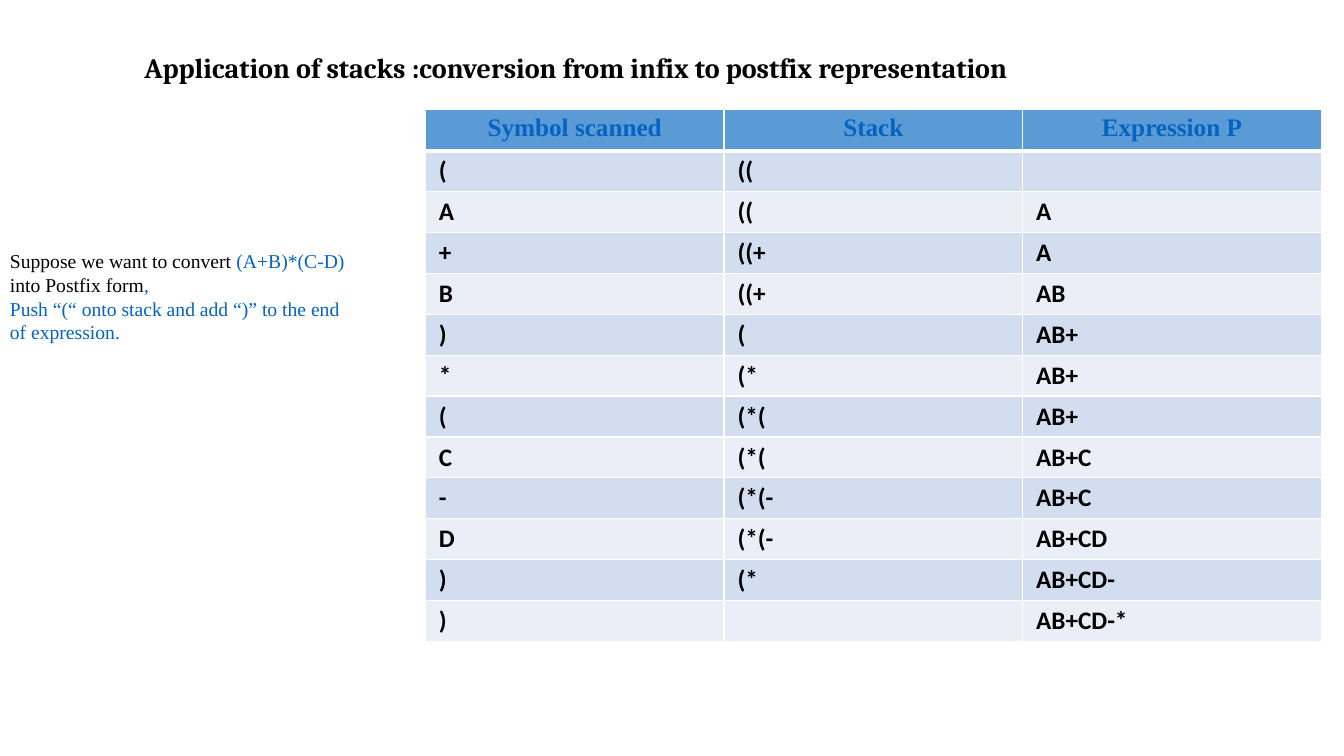
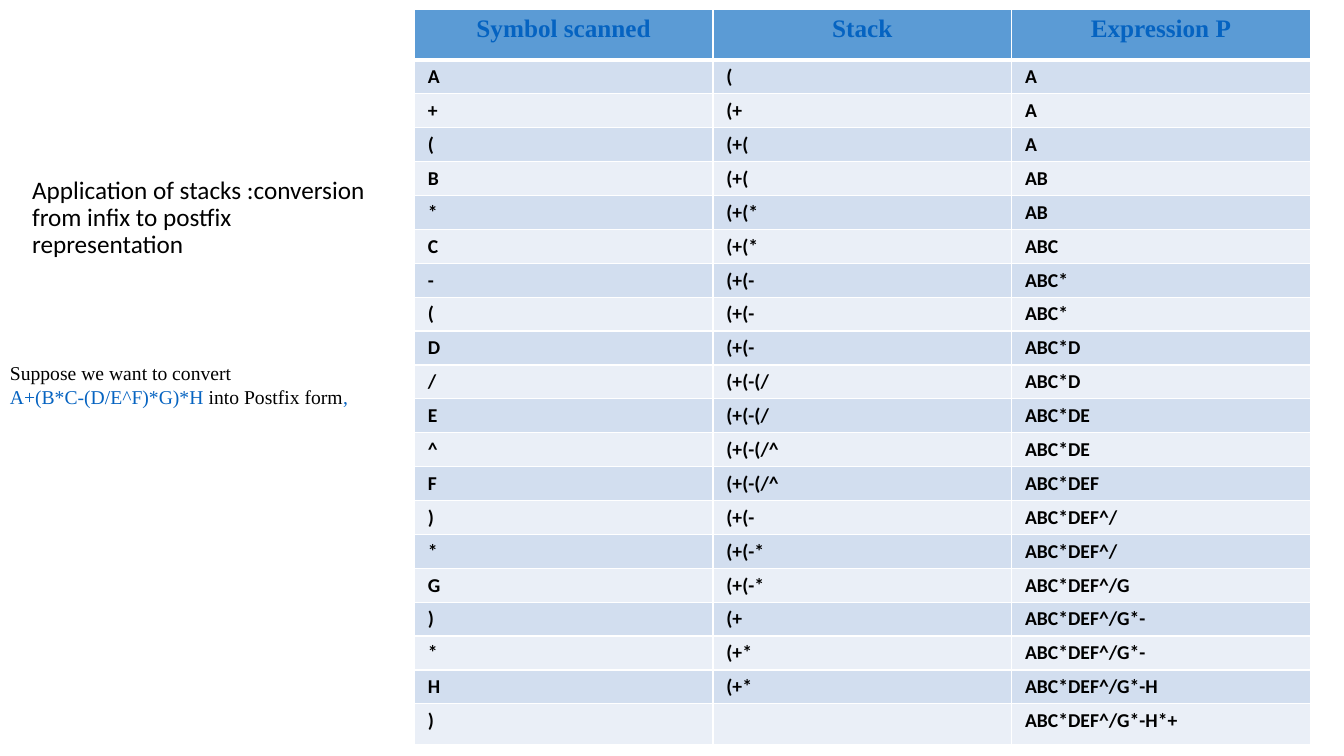
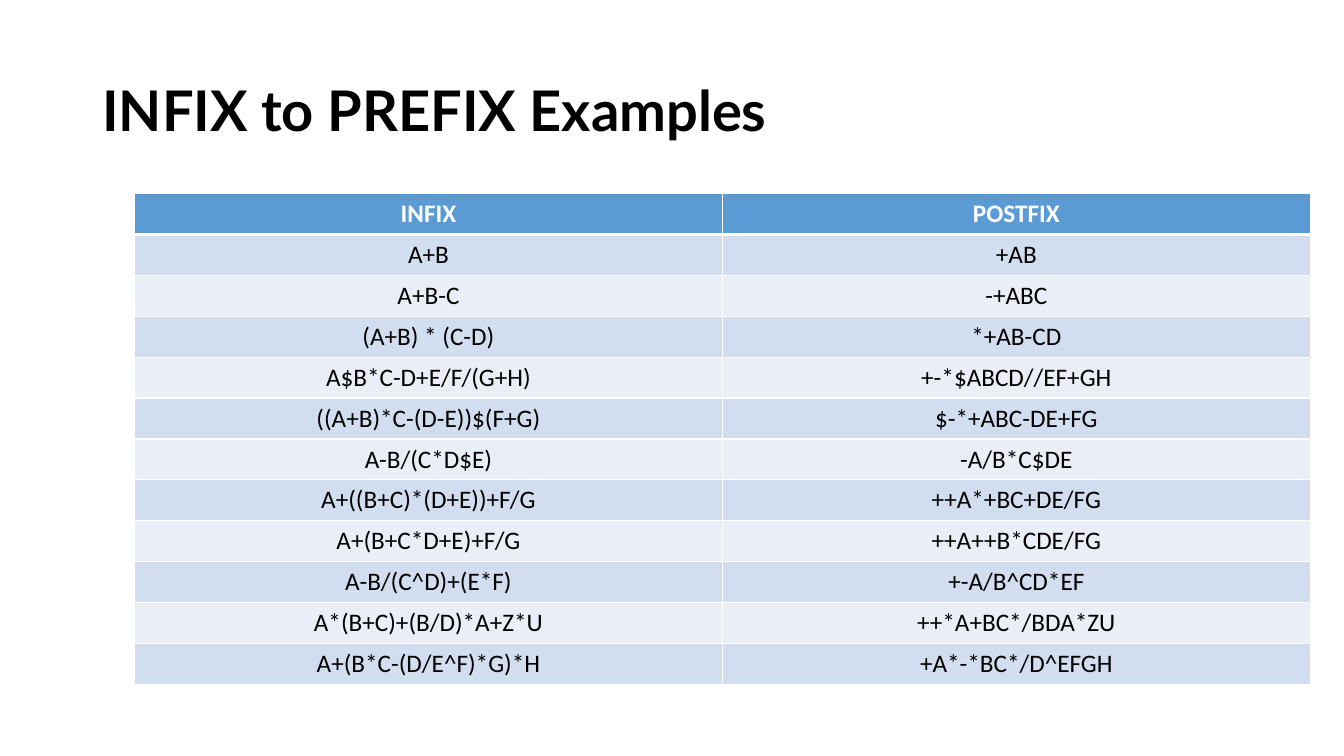
import pptx
import pptx.dml.color
import pptx.enum.text
import pptx.oxml
import pptx.oxml.ns
import pptx.util
from dataclasses import dataclass

Cm = pptx.util.Cm
ALIGN = pptx.enum.text.PP_ALIGN


@dataclass(frozen=True)
class Theme:
    black: str = "000000"
    white: str = "FFFFFF"
    accent: str = "0563C1"
    header: str = "5B9BD5"
    bands: tuple = ("D2DEEF", "EAEFF7")
    sans: str = "Calibri"
    serif: str = "Times New Roman"
    heading: str = "Cambria"
    display: str = "Lato"
    small: int = 14
    body: int = 18
    title: int = 20
    large: int = 40
    thin: int = 1
    thick: int = 3


THEME = Theme()

# Text styles: font, size, colour, bold
TITLE = (THEME.heading, THEME.title, THEME.black, True)
SIDE_TITLE = (THEME.sans, THEME.body, THEME.black, False)
LARGE_TITLE = (THEME.display, THEME.large, THEME.black, True)
NOTE = (THEME.serif, THEME.small, THEME.black, False)
NOTE_ACCENT = (THEME.serif, THEME.small, THEME.accent, False)
TRACE_HEAD = (THEME.serif, THEME.body, THEME.accent, True)
TRACE_CELL = (THEME.sans, THEME.body, THEME.black, True)
SMALL_TRACE_CELL = (THEME.sans, THEME.small, THEME.black, True)
EXAMPLE_HEAD = (THEME.sans, THEME.body, THEME.white, True)
EXAMPLE_CELL = (THEME.sans, THEME.body, THEME.black, False)

# Content
STACK_TITLE = "Application of stacks :conversion from infix to postfix representation"
TRACE_COLUMNS = ("Symbol scanned", "Stack", "Expression P")


def conversion_note(expression):
    return [("Suppose we want to convert ", NOTE), (expression + " ", NOTE_ACCENT),
            ("into Postfix form", NOTE), (",", NOTE_ACCENT)]


PUSH_NOTE = [("Push “(“ onto stack and add “)” to the end of expression.", NOTE_ACCENT)]

SHORT_TRACE = [
    ("(", "((", ""),
    ("A", "((", "A"),
    ("+", "((+", "A"),
    ("B", "((+", "AB"),
    (")", "(", "AB+"),
    ("*", "(*", "AB+"),
    ("(", "(*(", "AB+"),
    ("C", "(*(", "AB+C"),
    ("-", "(*(-", "AB+C"),
    ("D", "(*(-", "AB+CD"),
    (")", "(*", "AB+CD-"),
    (")", "", "AB+CD-*"),
]

LONG_TRACE = [
    ("A", "(", "A"),
    ("+", "(+", "A"),
    ("(", "(+(", "A"),
    ("B", "(+(", "AB"),
    ("*", "(+(*", "AB"),
    ("C", "(+(*", "ABC"),
    ("-", "(+(-", "ABC*"),
    ("(", "(+(-", "ABC*"),
    ("D", "(+(-", "ABC*D"),
    ("/", "(+(-(/", "ABC*D"),
    ("E", "(+(-(/", "ABC*DE"),
    ("^", "(+(-(/^", "ABC*DE"),
    ("F", "(+(-(/^", "ABC*DEF"),
    (")", "(+(-", "ABC*DEF^/"),
    ("*", "(+(-*", "ABC*DEF^/"),
    ("G", "(+(-*", "ABC*DEF^/G"),
    (")", "(+", "ABC*DEF^/G*-"),
    ("*", "(+*", "ABC*DEF^/G*-"),
    ("H", "(+*", "ABC*DEF^/G*-H"),
    (")", "", "ABC*DEF^/G*-H*+"),
]

EXAMPLE_COLUMNS = ("INFIX", "POSTFIX")
EXAMPLES = [
    ("A+B", "+AB"),
    ("A+B-C", "-+ABC"),
    ("(A+B) * (C-D)", "*+AB-CD"),
    ("A$B*C-D+E/F/(G+H)", "+-*$ABCD//EF+GH"),
    ("((A+B)*C-(D-E))$(F+G)", "$-*+ABC-DE+FG"),
    ("A-B/(C*D$E)", "-A/B*C$DE"),
    ("A+((B+C)*(D+E))+F/G", "++A*+BC+DE/FG"),
    ("A+(B+C*D+E)+F/G", "++A++B*CDE/FG"),
    ("A-B/(C^D)+(E*F)", "+-A/B^CD*EF"),
    ("A*(B+C)+(B/D)*A+Z*U", "++*A+BC*/BDA*ZU"),
    ("A+(B*C-(D/E^F)*G)*H", "+A*-*BC*/D^EFGH"),
]

# Each slide: text blocks (box in cm, paragraphs, line spacing) and one table
SLIDES = [
    dict(texts=[((3.39, 0.85, 29.35, 1.69), [[(STACK_TITLE, TITLE)]], 1.0),
                ((0, 6.15, 9.31, 2.64), [conversion_note("(A+B)*(C-D)"), PUSH_NOTE], 1.0)],
         table=dict(left=10.72, top=2.75, width=22.58, columns=TRACE_COLUMNS,
                    rows=SHORT_TRACE, heights=(1.05, 1.03, 1.03),
                    head=TRACE_HEAD, cell=TRACE_CELL, align=ALIGN.LEFT)),
    dict(texts=[((0.56, 4.66, 9.31, 1.69), [[(STACK_TITLE, SIDE_TITLE)]], 0.9),
                ((0, 8.97, 9.31, 1.45), [conversion_note("A+(B*C-(D/E^F)*G)*H")], 1.0)],
         table=dict(left=10.44, top=0.24, width=22.58, columns=TRACE_COLUMNS,
                    rows=LONG_TRACE, heights=(1.27, 0.85, 1.03),
                    head=TRACE_HEAD, cell=SMALL_TRACE_CELL, align=ALIGN.LEFT)),
    dict(texts=[((2.33, 1.01, 29.21, 3.68), [[("INFIX to PREFIX Examples", LARGE_TITLE)]], 0.9)],
         table=dict(left=3.39, top=4.88, width=29.63, columns=EXAMPLE_COLUMNS,
                    rows=EXAMPLES, heights=(1.03, 1.03, 1.03),
                    head=EXAMPLE_HEAD, cell=EXAMPLE_CELL, align=ALIGN.CENTER)),
]


def rgb(colour):
    return pptx.dml.color.RGBColor.from_string(colour)


def add_run(paragraph, text, style):
    run = paragraph.add_run()
    run.text = text
    name, size, colour, bold = style
    run.font.name, run.font.size, run.font.bold = name, pptx.util.Pt(size), bold
    run.font.color.rgb = rgb(colour)


def add_text(slide, box, paragraphs, line_spacing):
    frame = slide.shapes.add_textbox(*map(Cm, box)).text_frame
    frame.word_wrap = True
    frame.vertical_anchor = pptx.enum.text.MSO_ANCHOR.MIDDLE
    for index, runs in enumerate(paragraphs):
        paragraph = frame.add_paragraph() if index else frame.paragraphs[0]
        paragraph.line_spacing = line_spacing
        for text, style in runs:
            add_run(paragraph, text, style)


def set_borders(cell, top, bottom):
    properties = cell._tc.get_or_add_tcPr()
    for side, points in (("L", THEME.thin), ("R", THEME.thin), ("T", top), ("B", bottom)):
        properties.append(pptx.oxml.parse_xml(
            f'<a:ln{side} {pptx.oxml.ns.nsdecls("a")} w="{pptx.util.Pt(points)}">'
            f'<a:solidFill><a:srgbClr val="{THEME.white}"/></a:solidFill></a:ln{side}>'))


def fill_cell(cell, text, style, align, fill, top, bottom):
    set_borders(cell, top, bottom)
    cell.fill.solid()
    cell.fill.fore_color.rgb = rgb(fill)
    cell.margin_left = cell.margin_right = Cm(0.34)
    cell.margin_top = cell.margin_bottom = Cm(0.13)
    paragraph = cell.text_frame.paragraphs[0]
    paragraph.alignment = align
    if text:
        add_run(paragraph, text, style)


def add_banded_table(slide, left, top, width, columns, rows, heights, head, cell, align):
    first, middle, last = heights
    row_heights = [first] + [middle] * (len(rows) - 1) + [last]
    table = slide.shapes.add_table(len(row_heights), len(columns), Cm(left), Cm(top),
                                   Cm(width), Cm(sum(row_heights))).table
    for row, height in zip(table.rows, row_heights):
        row.height = Cm(height)
    for c, label in enumerate(columns):
        fill_cell(table.cell(0, c), label, head, ALIGN.CENTER, THEME.header,
                  THEME.thin, THEME.thick)
    for r, values in enumerate(rows):
        above = THEME.thin if r else THEME.thick
        for c, value in enumerate(values):
            fill_cell(table.cell(r + 1, c), value, cell, align, THEME.bands[r % 2],
                      above, THEME.thin)


def main():
    deck = pptx.Presentation()
    deck.slide_width, deck.slide_height = Cm(33.87), Cm(19.05)
    for content in SLIDES:
        slide = deck.slides.add_slide(deck.slide_layouts[6])
        for block in content["texts"]:
            add_text(slide, *block)
        add_banded_table(slide, **content["table"])
    deck.save("out.pptx")


if __name__ == "__main__":
    main()
